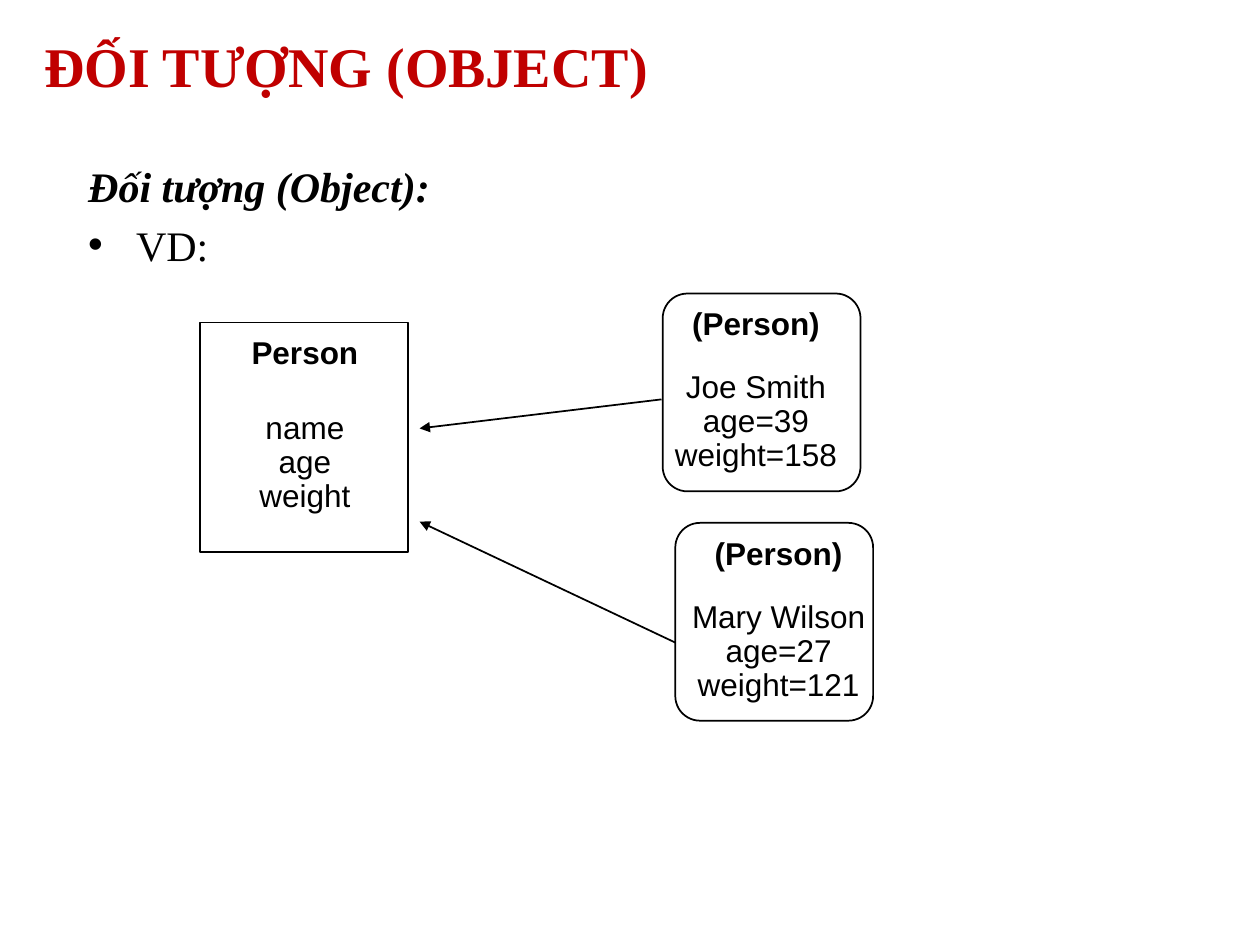
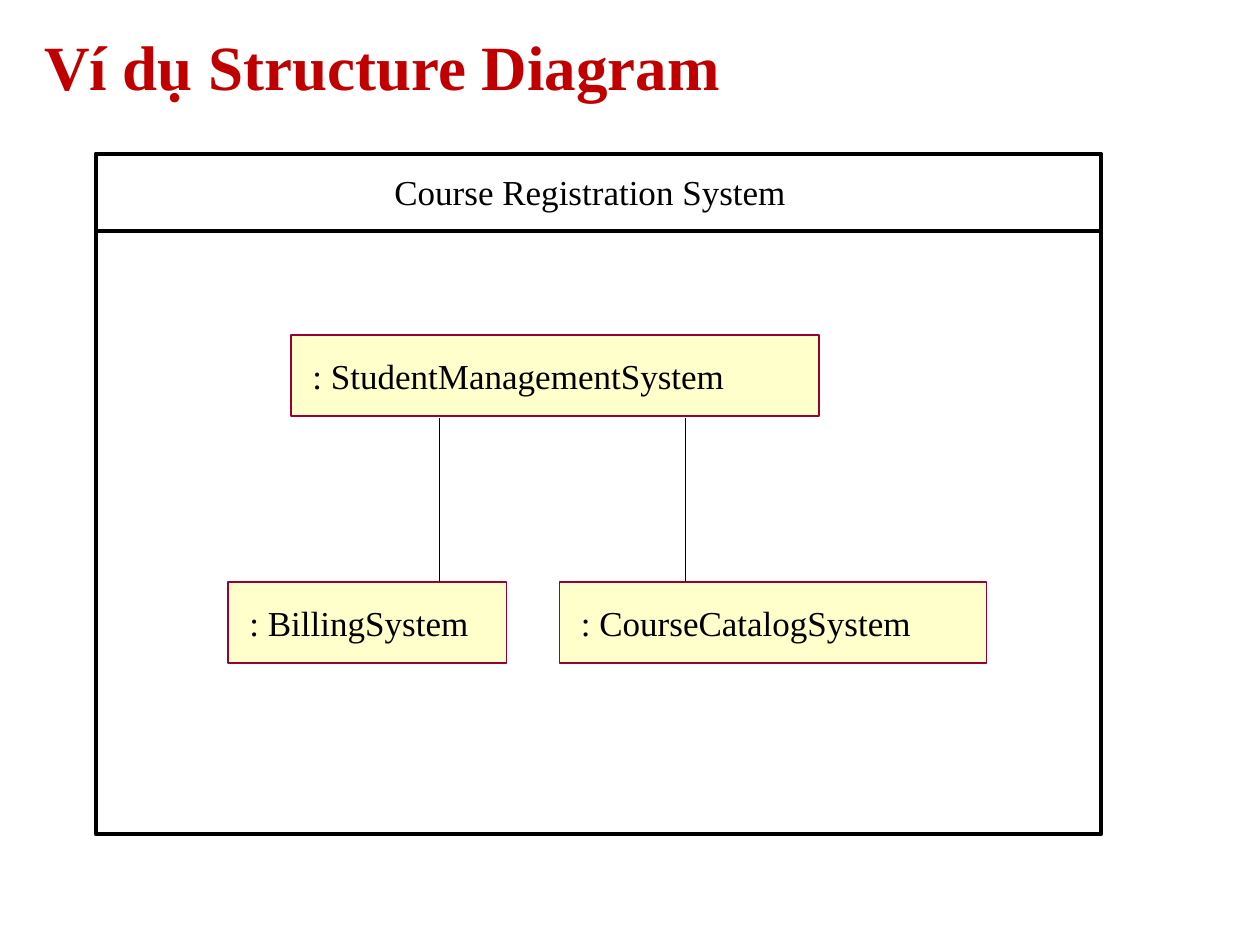
from pptx import Presentation
from pptx.dml.color import RGBColor
from pptx.enum import shapes as sh, text as tx
from pptx.oxml import parse_xml
from pptx.oxml.ns import nsdecls, qn
from pptx.util import Inches, Pt

BLACK = RGBColor(0, 0, 0)
RED = RGBColor(0xC0, 0, 0)
CREAM = RGBColor(0xFF, 0xFF, 0xCC)
WINE = RGBColor(0x99, 0, 0x33)
SERIF, SANS = "Times New Roman", "Arial"
RECT = sh.MSO_SHAPE.RECTANGLE
ROUND = sh.MSO_SHAPE.ROUNDED_RECTANGLE
CENTER = tx.PP_ALIGN.CENTER


def add_run(par, words, size, font, color=BLACK, bold=False, italic=False):
    """Add one styled run to a paragraph."""
    run = par.add_run()
    run.text = words
    face = run.font
    face.size, face.name, face.bold, face.italic = Pt(size), font, bold, italic
    face.color.rgb = color


def add_page(deck, title, size):
    """Add a slide with the shared red title."""
    page = deck.slides.add_slide(deck.slide_layouts[5])
    head = page.shapes.title
    head.left, head.top, head.width, head.height = map(Inches, (0.25, 0.02, 9.5, 1))
    frame = head.text_frame
    frame.vertical_anchor = tx.MSO_ANCHOR.MIDDLE
    par = frame.paragraphs[0]
    par.alignment = tx.PP_ALIGN.LEFT
    add_run(par, title, size, SERIF, RED, bold=True)
    return page


def add_box(items, kind, place, line=BLACK, width=1, fill=None):
    """Add an outlined box, with a fill if one is given."""
    box = items.add_shape(kind, *map(Inches, place))
    box.shadow.inherit = False
    box.line.color.rgb = line
    box.line.width = Pt(width)
    if fill is None:
        box.fill.background()
    else:
        box.fill.solid()
        box.fill.fore_color.rgb = fill
    return box


def add_label(items, place, lines, size, font, bold=False, align=None, inset=0, space=None):
    """Add an unwrapped text box with one paragraph per line."""
    frame = items.add_textbox(*map(Inches, place)).text_frame
    frame.word_wrap = False
    frame.auto_size = tx.MSO_AUTO_SIZE.SHAPE_TO_FIT_TEXT
    frame.margin_left = frame.margin_right = Inches(inset)
    frame.margin_top = frame.margin_bottom = Inches(inset / 2)
    for i, words in enumerate(lines):
        par = frame.add_paragraph() if i else frame.paragraphs[0]
        par.alignment = align
        par.line_spacing = space
        add_run(par, words, size, font, bold=bold)


def add_line(items, start, end, width, arrow=False):
    """Add a black straight line, with an arrowhead at its end if asked."""
    line = items.add_connector(sh.MSO_CONNECTOR.STRAIGHT, *map(Inches, start + end))
    line.line.color.rgb = BLACK
    line.line.width = Pt(width)
    if arrow:
        tail = parse_xml(f'<a:tailEnd {nsdecls("a")} type="triangle"/>')
        line.line._get_or_add_ln().append(tail)
    props = line._element.find(qn("p:spPr"))
    props.append(parse_xml(f'<a:effectLst {nsdecls("a")}/>'))


def add_card(items, kind, place, name, facts, axis, drop):
    """Add a card with a bold name and facts centred on an axis."""
    box = add_box(items, kind, place)
    if kind == ROUND:
        box.adjustments[0] = 0.125
    top = place[1]
    style = {"align": CENTER, "inset": 0.1, "space": 0.9}
    add_label(items, (axis - 0.65, top + 0.07, 1.3, 0.37), [name], 18, SANS, bold=True, **style)
    add_label(items, (axis - 0.82, top + drop, 1.64, 0.91), facts, 18, SANS, **style)


def add_part(items, left, top, width, name, span):
    """Add a grouped cream part box with its label."""
    group = items.add_group_shape().shapes
    add_box(group, RECT, (left, top, width, 0.64), WINE, fill=CREAM)
    add_label(group, (left + 0.17, top + 0.15, span, 0.33), [name], 20, SERIF)


def add_intro(items):
    """Add the heading and the bullet that open the example."""
    frame = items.add_textbox(*map(Inches, (0.5, 1.17, 9.08, 4.58))).text_frame
    frame.word_wrap = True
    frame.margin_left, frame.margin_top = Inches(0.2), Inches(0.1)
    add_run(frame.paragraphs[0], "Đối tượng (Object):", 24, SERIF, bold=True, italic=True)
    par = frame.add_paragraph()
    par.space_before = Pt(5)
    props = par._p.get_or_add_pPr()
    props.set("marL", str(Inches(0.38)))
    props.set("indent", str(-Inches(0.38)))
    props.append(parse_xml(f'<a:buFont {nsdecls("a")} typeface="Arial"/>'))
    props.append(parse_xml(f'<a:buChar {nsdecls("a")} char="•"/>'))
    add_run(par, "VD:", 24, SERIF)


def draw_object(deck):
    """Build the slide on a class and its objects."""
    items = add_page(deck, "ĐỐI TƯỢNG (OBJECT)", 32).shapes
    add_intro(items)
    add_card(items, RECT, (1.59, 2.56, 1.65, 1.82), "Person",
             ["name", "age", "weight"], 2.42, 0.66)
    add_card(items, ROUND, (5.26, 2.33, 1.57, 1.57), "(Person)",
             ["Joe Smith", "age=39", "weight=158"], 6, 0.57)
    add_card(items, ROUND, (5.36, 4.15, 1.57, 1.57), "(Person)",
             ["Mary Wilson", "age=27", "weight=121"], 6.18, 0.57)
    add_line(items, (5.25, 3.17), (3.33, 3.4), 1, arrow=True)
    add_line(items, (5.36, 5.1), (3.33, 4.14), 1, arrow=True)


def draw_system(deck):
    """Build the slide with the structure diagram."""
    items = add_page(deck, "Ví dụ Structure Diagram", 36).shapes
    add_box(items, RECT, (0.76, 1.22, 7.98, 5.4), width=2.25)
    add_label(items, (3.13, 1.35, 3.46, 0.33), ["Course Registration System"], 20, SERIF)
    add_part(items, 1.81, 4.62, 2.21, ": BillingSystem", 1.84)
    add_part(items, 2.31, 2.66, 4.19, ": StudentManagementSystem", 3.67)
    add_part(items, 4.44, 4.62, 3.39, ": CourseCatalogSystem", 2.95)
    for left in (3.49, 5.44):
        add_line(items, (left, 3.32), (left, 4.62), 0.75)
    add_line(items, (0.76, 1.83), (8.74, 1.83), 2.25)


def main():
    """Build and save the deck."""
    deck = Presentation()
    deck.slide_width, deck.slide_height = Inches(10), Inches(7.5)
    draw_object(deck)
    draw_system(deck)
    deck.save("out.pptx")


if __name__ == "__main__":
    main()
